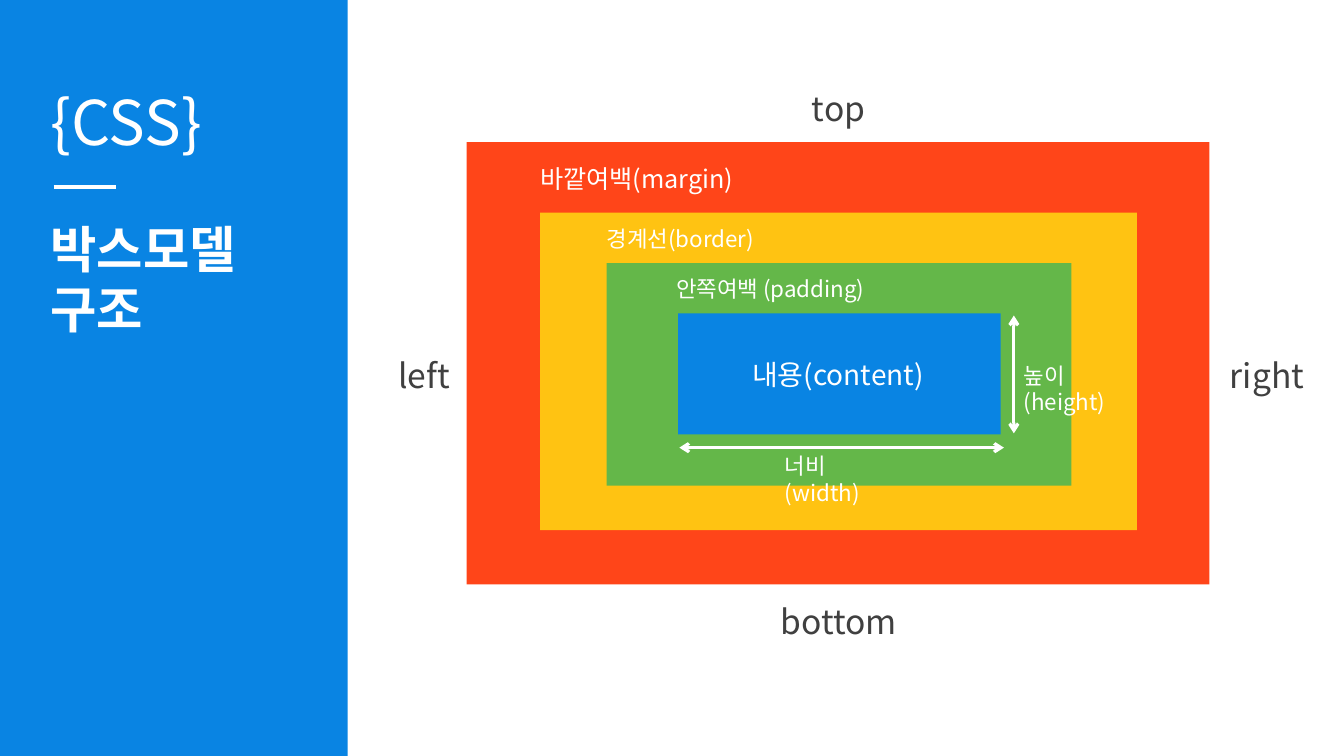
from dataclasses import dataclass

from lxml import etree
from pptx import Presentation
from pptx.dml.color import RGBColor
from pptx.enum.shapes import MSO_CONNECTOR, MSO_SHAPE
from pptx.enum.text import MSO_AUTO_SIZE, PP_ALIGN
from pptx.oxml.ns import qn
from pptx.util import Cm, Pt

RECTANGLE = MSO_SHAPE.RECTANGLE
STRAIGHT = MSO_CONNECTOR.STRAIGHT
FIT_SHAPE = MSO_AUTO_SIZE.SHAPE_TO_FIT_TEXT
LEFT, CENTER = PP_ALIGN.LEFT, PP_ALIGN.CENTER


@dataclass(frozen=True)
class Theme:
    font: str = "Noto Sans CJK KR"
    blue: str = "0984E3"
    red: str = "FF4519"
    yellow: str = "FFC312"
    green: str = "64B749"
    white: str = "FFFFFF"
    grey: str = "404040"
    topic: int = 44
    title: int = 36
    side: int = 24
    content: int = 20
    margin: int = 18
    label: int = 16
    rule: float = 3
    arrow: float = 2.25


theme = Theme()


def add_text(text, place, size, color, align=LEFT, bold=False, wrap=True):
    box = page.shapes.add_textbox(*map(Cm, place))
    frame = box.text_frame
    frame.text = text
    frame.word_wrap = wrap
    frame.auto_size = FIT_SHAPE
    for para in frame.paragraphs:
        para.alignment = align
        for span in para.runs:
            span.font.size = Pt(size)
            span.font.bold = bold
            span.font.name = theme.font
            span.font.color.rgb = RGBColor.from_string(color)
            # Hangul takes its typeface from the East Asian font
            etree.SubElement(span.font._element, qn("a:ea"), typeface=theme.font)


deck = Presentation()
deck.slide_width, deck.slide_height = Cm(33.87), Cm(19.05)
page = deck.slides.add_slide(deck.slide_layouts[6])

# Blue side panel and the nested boxes, outermost first
rectangles = [
    ((0, 0, 8.76, 19.05), theme.blue),
    ((11.76, 3.58, 18.72, 11.15), theme.red),
    ((13.61, 5.36, 15.04, 8), theme.yellow),
    ((15.29, 6.63, 11.71, 5.61), theme.green),
    ((17.09, 7.9, 8.13, 3.05), theme.blue),
]
for place, color in rectangles:
    rectangle = page.shapes.add_shape(RECTANGLE, *map(Cm, place))
    rectangle.shadow.inherit = False
    rectangle.fill.solid()
    rectangle.fill.fore_color.rgb = RGBColor.from_string(color)
    rectangle.line.fill.background()

# Rule under the topic, then the width and height arrows
lines = [
    ((1.35, 4.72, 2.92, 4.72), theme.rule, False),
    ((25.3, 11.28, 17.12, 11.28), theme.arrow, True),
    ((25.55, 7.95, 25.55, 10.92), theme.arrow, True),
]
for ends, weight, has_arrowheads in lines:
    line = page.shapes.add_connector(STRAIGHT, *map(Cm, ends))
    line.line.width = Pt(weight)
    line.line.color.rgb = RGBColor.from_string(theme.white)
    if has_arrowheads:
        for end in ("a:headEnd", "a:tailEnd"):
            etree.SubElement(line.line._get_or_add_ln(), qn(end), type="arrow")
    etree.SubElement(line._element.spPr, qn("a:effectLst"))

add_text("{CSS}", (1.02, 1.98, 4.7, 2.13), theme.topic, theme.white, wrap=False)
add_text("박스모델\n구조", (1.02, 5.36, 5.18, 3.33), theme.title, theme.white,
         bold=True, wrap=False)

sides = [
    ("top", (20.07, 2.08, 2.13, 1.27)),
    ("bottom", (19.25, 15.01, 3.78, 1.27)),
    ("left", (9.63, 8.81, 2.13, 1.27)),
    ("right", (30.48, 8.81, 2.9, 1.27)),
]
for text, place in sides:
    add_text(text, place, theme.side, theme.grey, CENTER)

labels = [
    ("바깥여백(margin)", (13.36, 3.99, 6.5, 1.02), theme.margin, LEFT),
    ("경계선(border)", (15.04, 5.54, 6.5, 0.94), theme.label, LEFT),
    ("안쪽여백 (padding)", (16.79, 6.81, 6.5, 0.94), theme.label, LEFT),
    ("내용(content)", (18.39, 8.89, 5.46, 1.12), theme.content, CENTER),
    ("너비(width)", (19.53, 11.28, 3.3, 0.94), theme.label, LEFT),
    ("높이(height)", (25.55, 8.99, 3.58, 0.94), theme.label, LEFT),
]
for text, place, size, align in labels:
    add_text(text, place, size, theme.white, align)

deck.save("out.pptx")
